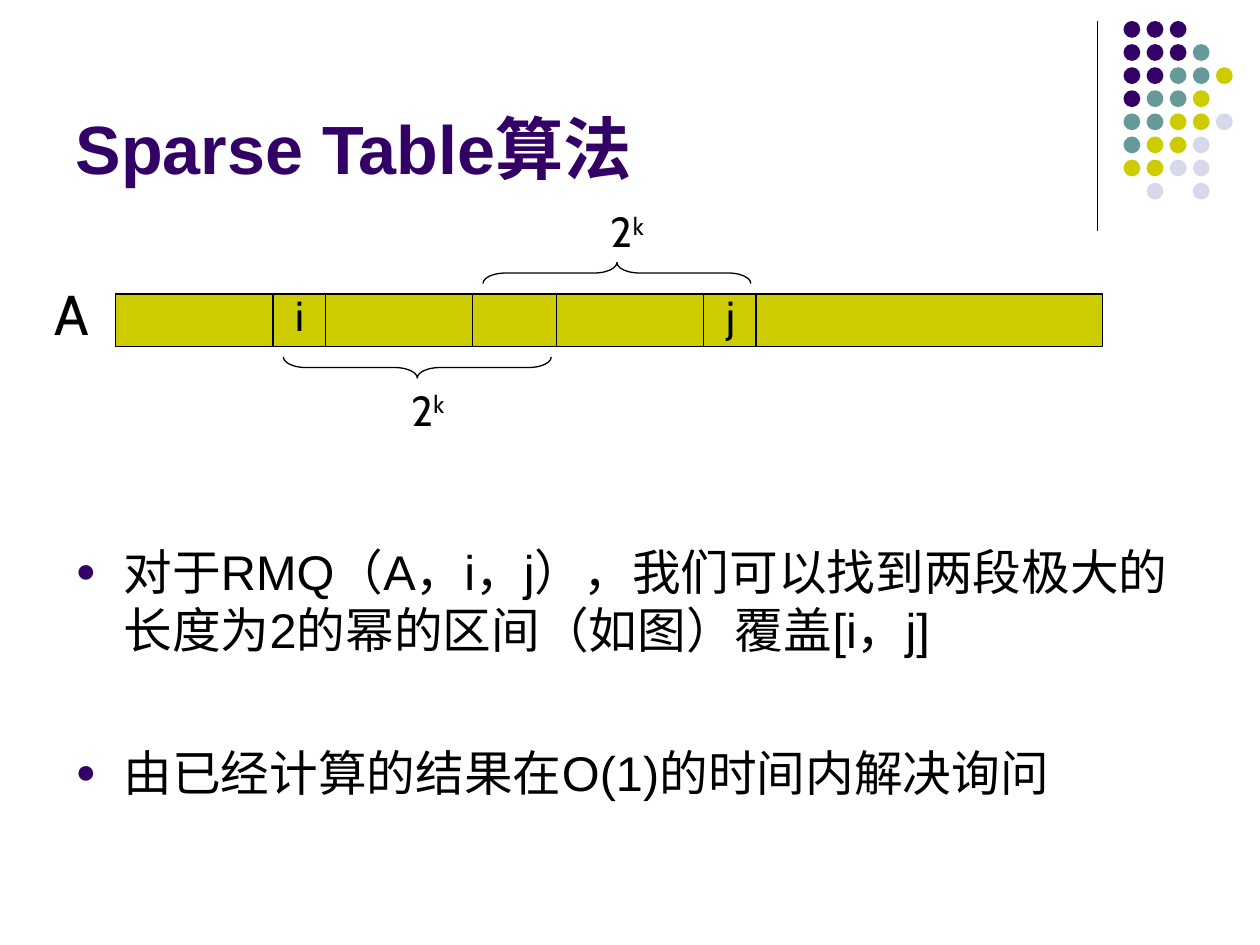
from itertools import accumulate

from lxml.etree import SubElement
from pptx import Presentation
from pptx.dml.color import RGBColor
from pptx.enum.shapes import MSO_CONNECTOR, MSO_SHAPE
from pptx.enum.text import MSO_ANCHOR, MSO_AUTO_SIZE, PP_ALIGN
from pptx.oxml.ns import qn
from pptx.util import Emu, Inches, Pt

PURPLE = RGBColor(0x33, 0x00, 0x66)
TEAL = RGBColor(0x66, 0x99, 0x99)
OLIVE = RGBColor(0xCC, 0xCC, 0x00)
LAVENDER = RGBColor(0xD8, 0xD8, 0xEC)
BLACK = RGBColor(0, 0, 0)

# Content; all places are on a grid of 120 columns by 90 rows
TITLE = "Sparse Table算法"
BULLETS = [  # text, space before in points
    ("对于RMQ（A，i，j），我们可以找到两段极大的长度为2的幂的区间（如图）覆盖[i，j]", 7.5),
    ("由已经计算的结果在O(1)的时间内解决询问", 48),
]
CELL_WIDTHS = [15, 5, 14, 8, 14, 5, 33]
ARRAY_LEFT, ARRAY_TOP, ARRAY_HEIGHT = 11, 28, 5
LABELS = [  # text, superscript, size, box
    ("i", "", 24, (27, 27, 3, 6)),
    ("j", "", 24, (68, 27, 3, 6)),
    ("A", "", 32, (4, 26, 7, 7.7)),
    ("2", "k", 24, (38, 36, 11, 6)),
    ("2", "k", 24, (57, 19, 11, 6)),
]
BRACE_LENGTH, BRACE_DEPTH = 25.5, 2
BRACES = [(27, 34, 270), (46, 25, 90)]  # left, top, rotation
DOT_COLOURS = {"P": PURPLE, "T": TEAL, "O": OLIVE, "L": LAVENDER}
DOT_ROWS = ["PPP", "PPPT", "PPTTO", "PTTO", "TTOOL", "TOOL", "OOLL", ".L.L"]
DOT_LEFT, DOT_TOP, DOT_PITCH, DOT_SIZE = 107, 2, 2.2, 1.6

prs = Presentation()
prs.slide_width, prs.slide_height = Inches(10), Inches(7.5)
COLUMN = prs.slide_width / 120
slide = prs.slides.add_slide(prs.slide_layouts[1])


def grid(*places):
    return [Emu(round(place * COLUMN)) for place in places]


def put(shape, *box):
    shape.left, shape.top, shape.width, shape.height = grid(*box)


def write(paragraph, text, size=24, font="Cabin", colour=BLACK, bold=False,
          before=0, superscript=False):
    paragraph.alignment = PP_ALIGN.LEFT
    paragraph.space_before = Pt(before)
    run = paragraph.add_run()
    run.text = text
    run.font.size, run.font.name, run.font.bold = Pt(size), font, bold
    run.font.color.rgb = colour
    if superscript:
        run._r.get_or_add_rPr().set("baseline", "30000")


def add_shape(shapes, kind, box, fill=None, line=None):
    shape = shapes.add_shape(kind, *grid(*box))
    shape.shadow.inherit = False
    if fill is None:
        shape.fill.background()
    else:
        shape.fill.solid()
        shape.fill.fore_color.rgb = fill
    if line is None:
        shape.line.fill.background()
    else:
        shape.line.color.rgb = line
        shape.line.width = Pt(0.75)
    return shape


def add_bullet(paragraph):
    properties = paragraph._p.get_or_add_pPr()
    properties.set("marL", str(Inches(0.38)))
    properties.set("indent", str(-Inches(0.38)))
    colour = SubElement(properties, qn("a:buClr"))
    SubElement(colour, qn("a:srgbClr"), val=str(PURPLE))
    SubElement(properties, qn("a:buSzPct"), val="70000")
    SubElement(properties, qn("a:buChar"), char="●")


# Corner decoration: rule and dots
rule = slide.shapes.add_connector(MSO_CONNECTOR.STRAIGHT, *grid(104.5, 2, 104.5, 22))
rule.line.color.rgb, rule.line.width = BLACK, Pt(0.75)
SubElement(rule._element.spPr, qn("a:effectLst"))
dots = slide.shapes.add_group_shape()
for row, codes in enumerate(DOT_ROWS):
    for column, code in enumerate(codes):
        if code in DOT_COLOURS:
            place = (DOT_LEFT + column * DOT_PITCH, DOT_TOP + row * DOT_PITCH)
            add_shape(dots.shapes, MSO_SHAPE.OVAL, (*place, DOT_SIZE, DOT_SIZE),
                      fill=DOT_COLOURS[code])

# Title and bullets
title, body = slide.shapes.title, slide.placeholders[1]
put(title, 6, 1.5, 99, 17)
put(body, 6, 51, 108, 29.4)
for placeholder, anchor in ((title, MSO_ANCHOR.BOTTOM), (body, MSO_ANCHOR.TOP)):
    placeholder.text_frame.vertical_anchor = anchor
    placeholder.text_frame.auto_size = MSO_AUTO_SIZE.NONE
write(title.text_frame.paragraphs[0], TITLE, size=39, font="Arial",
      colour=PURPLE, bold=True)
for index, (text, before) in enumerate(BULLETS):
    frame = body.text_frame
    bullet = frame.add_paragraph() if index else frame.paragraphs[0]
    write(bullet, text, size=27.8, font="Arial", before=before)
    add_bullet(bullet)

# Array cells, side by side
cell_lefts = accumulate(CELL_WIDTHS, initial=ARRAY_LEFT)
for left, width in zip(cell_lefts, CELL_WIDTHS):
    add_shape(slide.shapes, MSO_SHAPE.RECTANGLE,
              (left, ARRAY_TOP, width, ARRAY_HEIGHT), fill=OLIVE, line=BLACK)

# Braces: upright shapes turned about their centres
for left, top, rotation in BRACES:
    shift = (BRACE_LENGTH - BRACE_DEPTH) / 2
    brace = add_shape(slide.shapes, MSO_SHAPE.LEFT_BRACE,
                      (left + shift, top - shift, BRACE_DEPTH, BRACE_LENGTH), line=BLACK)
    brace.adjustments[0] = 1.08
    brace.rotation = rotation

# Labels of the array, its ends and the braces
for text, power, size, box in LABELS:
    label = slide.shapes.add_textbox(*grid(*box)).text_frame
    label.word_wrap = True
    write(label.paragraphs[0], text, size=size, before=size * 0.625)
    if power:
        write(label.paragraphs[0], power, size=size, before=size * 0.625, superscript=True)

prs.save("out.pptx")
